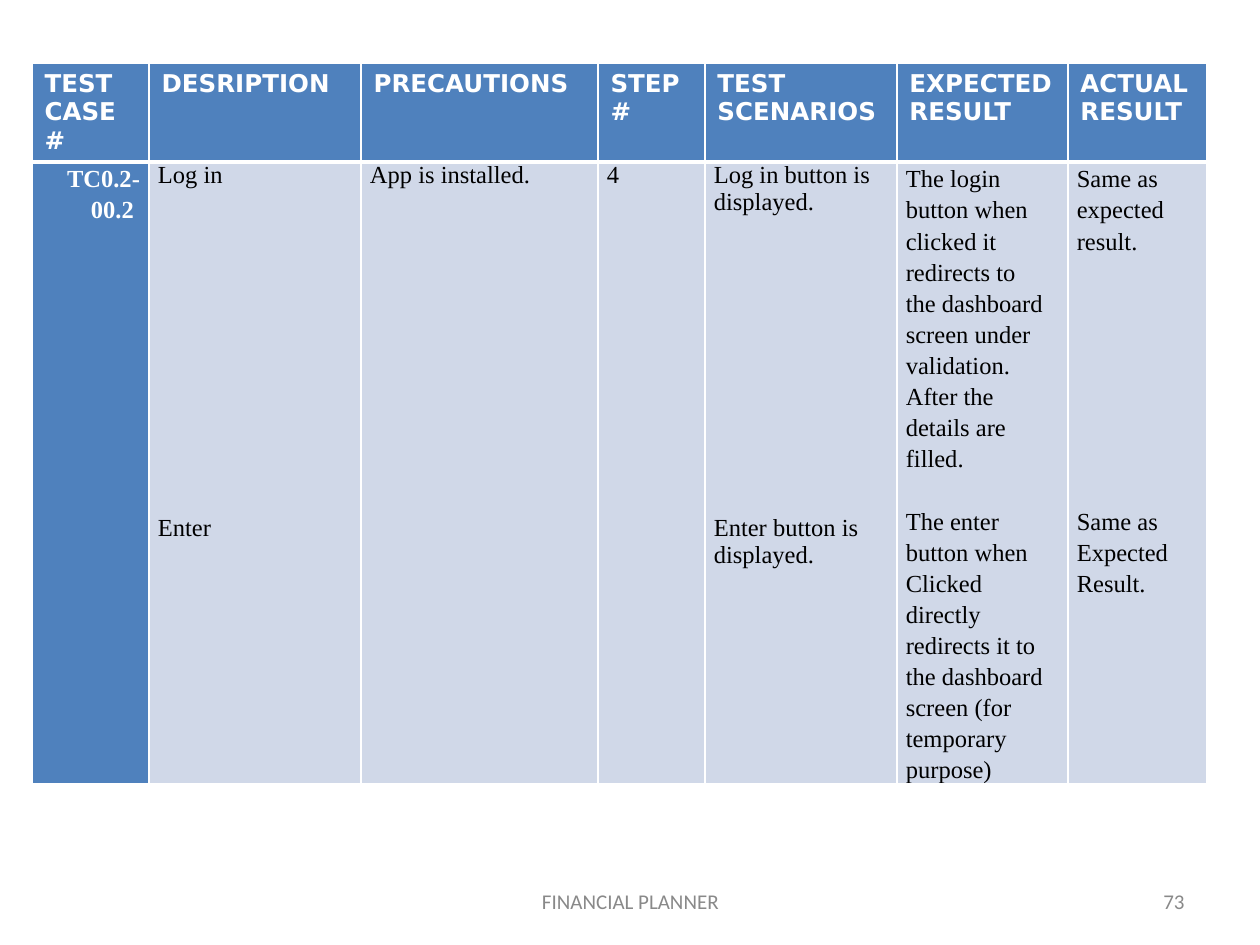
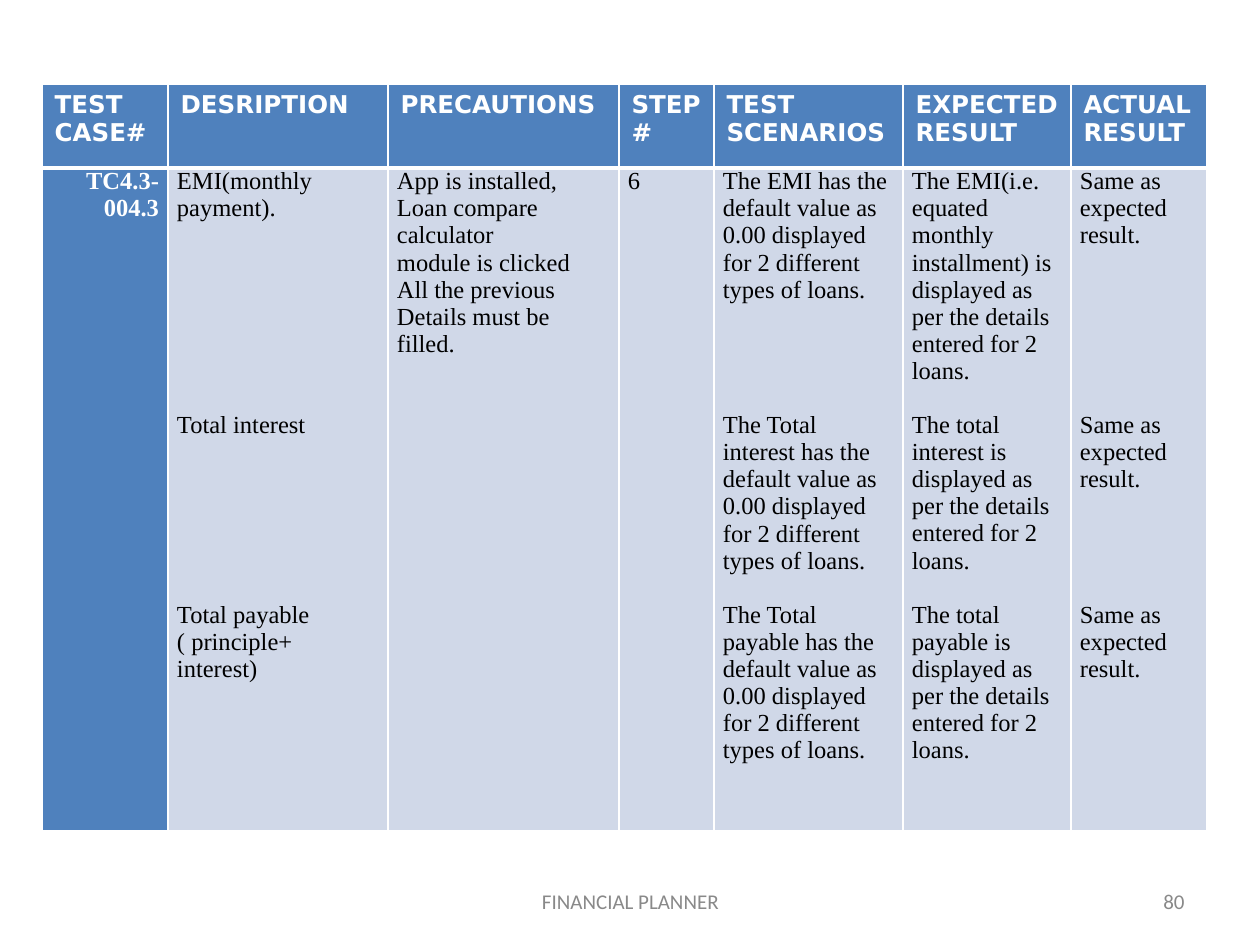
import pptx
import pptx.dml.color
import pptx.enum.text
import pptx.oxml
import pptx.oxml.ns
import pptx.util

EMU_PER_PIXEL = 914400 / 126
WHITE = pptx.dml.color.RGBColor(0xFF, 0xFF, 0xFF)
BLACK = pptx.dml.color.RGBColor(0, 0, 0)
BLUE = pptx.dml.color.RGBColor(0x4F, 0x81, 0xBD)
PALE_BLUE = pptx.dml.color.RGBColor(0xD0, 0xD8, 0xE8)
GREY = pptx.dml.color.RGBColor(0x89, 0x89, 0x89)
HEADING_FONT = "DejaVu Sans"
BODY_FONT = "Times New Roman"
FOOTER_FONT = "Calibri"
LINE_POINTS = 15.5
LEFT, CENTER, RIGHT = (
    pptx.enum.text.PP_ALIGN.LEFT,
    pptx.enum.text.PP_ALIGN.CENTER,
    pptx.enum.text.PP_ALIGN.RIGHT,
)
HEADINGS = [
    "TEST CASE#", "DESRIPTION", "PRECAUTIONS", "STEP#",
    "TEST SCENARIOS", "EXPECTED RESULT", "ACTUAL RESULT",
]

# Numbers between texts are the count of empty lines separating them.
LOGIN_CASE = [
    ["TC0.2-00.2 "],
    ["Log in", 12, "Enter"],
    ["App is installed."],
    ["4"],
    ["Log in button is displayed.", 11, "Enter button is displayed."],
    ["The login", "button when",
     "clicked it redirects to\vthe dashboard screen under validation.",
     "After the", "details are", "filled.", 1,
     "The enter", "button when", "Clicked", "directly", "redirects it to",
     "the dashboard screen (for", "temporary", "purpose)"],
    ["Same as", "expected", "result.", 8, "Same as", "Expected", "Result."],
]
LOAN_CASE = [
    ["TC4.3-004.3"],
    ["EMI(monthly payment).", 7, "Total interest", 6,
     "Total payable", "( principle+ interest)"],
    ["App is installed,", "Loan compare", "calculator", "module is clicked",
     "All the previous", "Details must be", "filled."],
    ["6"],
    ["The EMI has the default value as 0.00 displayed for 2 different types of loans.", 4,
     "The Total",
     "interest has the default value as 0.00 displayed for 2 different types of loans.", 1,
     "The Total payable has the default value as 0.00 displayed for 2 different types of loans."],
    ["The EMI(i.e. equated monthly installment) is displayed as per the details entered for 2 loans.", 1,
     "The total interest is displayed as per the details entered for 2 loans.", 1,
     "The total payable is displayed as per the details entered for 2 loans."],
    ["Same as", "expected result.", 6, "Same as expected result.", 4,
     "Same as expected result."],
]


def px(length):
    return pptx.util.Emu(round(length * EMU_PER_PIXEL))


def style(paragraph, font_name, size, color, bold=False, alignment=LEFT):
    paragraph.alignment = alignment
    font = paragraph.font
    font.name = font_name
    font.size = pptx.util.Pt(size)
    font.bold = bold
    font.color.rgb = color


def set_borders(cell, top, bottom):
    properties = cell._tc.get_or_add_tcPr()
    widths = {"L": 1, "R": 1, "T": top, "B": bottom}
    for index, (side, width) in enumerate(widths.items()):
        properties.insert(index, pptx.oxml.parse_xml(
            f'<a:ln{side} {pptx.oxml.ns.nsdecls("a")} w="{width * 12700}">'
            f'<a:solidFill><a:srgbClr val="{WHITE}"/></a:solidFill></a:ln{side}>'
        ))


def fill_cell(cell, color):
    cell.fill.solid()
    cell.fill.fore_color.rgb = color


def add_heading(cell, heading):
    fill_cell(cell, BLUE)
    set_borders(cell, 1, 3)
    paragraph = cell.text_frame.paragraphs[0]
    paragraph.text = heading
    style(paragraph, HEADING_FONT, 14, WHITE, True)


def add_body(cell, content, is_case_number, line_spacing):
    fill_cell(cell, BLUE if is_case_number else PALE_BLUE)
    set_borders(cell, 3, 1)
    cell.margin_left = cell.margin_right = px(9)
    cell.margin_top = cell.margin_bottom = 0
    paragraph, gap = cell.text_frame.paragraphs[0], 0
    for item in content:
        if isinstance(item, int):
            gap = item
            continue
        if paragraph.text:
            paragraph = cell.text_frame.add_paragraph()
        paragraph.text = item
        paragraph.line_spacing = line_spacing
        if gap:
            paragraph.space_before = pptx.util.Pt(gap * LINE_POINTS * line_spacing)
            gap = 0
        if is_case_number:
            style(paragraph, BODY_FONT, 14, WHITE, True, RIGHT)
        else:
            style(paragraph, BODY_FONT, 14, BLACK)


def add_test_table(slide, left, top, column_widths, row_heights, test_case, loose_columns=()):
    table = slide.shapes.add_table(
        2, len(HEADINGS), px(left), px(top), px(sum(column_widths)), px(sum(row_heights))
    ).table
    table.horz_banding = False
    for row, height in zip(table.rows, row_heights):
        row.height = px(height)
    for index, width in enumerate(column_widths):
        table.columns[index].width = px(width)
        add_heading(table.cell(0, index), HEADINGS[index])
        line_spacing = 1.15 if index in loose_columns else 1.0
        add_body(table.cell(1, index), test_case[index], index == 0, line_spacing)


def add_footer_text(slide, left, width, text, alignment):
    shape = slide.shapes.add_textbox(px(left), px(876), px(width), px(50))
    frame = shape.text_frame
    frame.word_wrap = True
    frame.vertical_anchor = pptx.enum.text.MSO_ANCHOR.MIDDLE
    paragraph = frame.paragraphs[0]
    paragraph.text = text
    style(paragraph, FOOTER_FONT, 12, GREY, alignment=alignment)


def add_test_slide(presentation, page_number, **table_options):
    slide = presentation.slides.add_slide(presentation.slide_layouts[6])
    add_test_table(slide, **table_options)
    add_footer_text(slide, 903, 294, str(page_number), RIGHT)
    add_footer_text(slide, 431, 399, "FINANCIAL PLANNER", CENTER)


def main():
    presentation = pptx.Presentation()
    presentation.slide_width = px(1260)
    presentation.slide_height = px(945)
    add_test_slide(
        presentation, 73, left=32, top=63,
        column_widths=[117, 212, 237, 107, 192, 171, 139],
        row_heights=[94, 622], test_case=LOGIN_CASE, loose_columns=(0, 5, 6),
    )
    add_test_slide(
        presentation, 80, left=42, top=84,
        column_widths=[126, 220, 231, 95, 189, 168, 136],
        row_heights=[84, 663], test_case=LOAN_CASE,
    )
    presentation.save("out.pptx")


if __name__ == "__main__":
    main()
